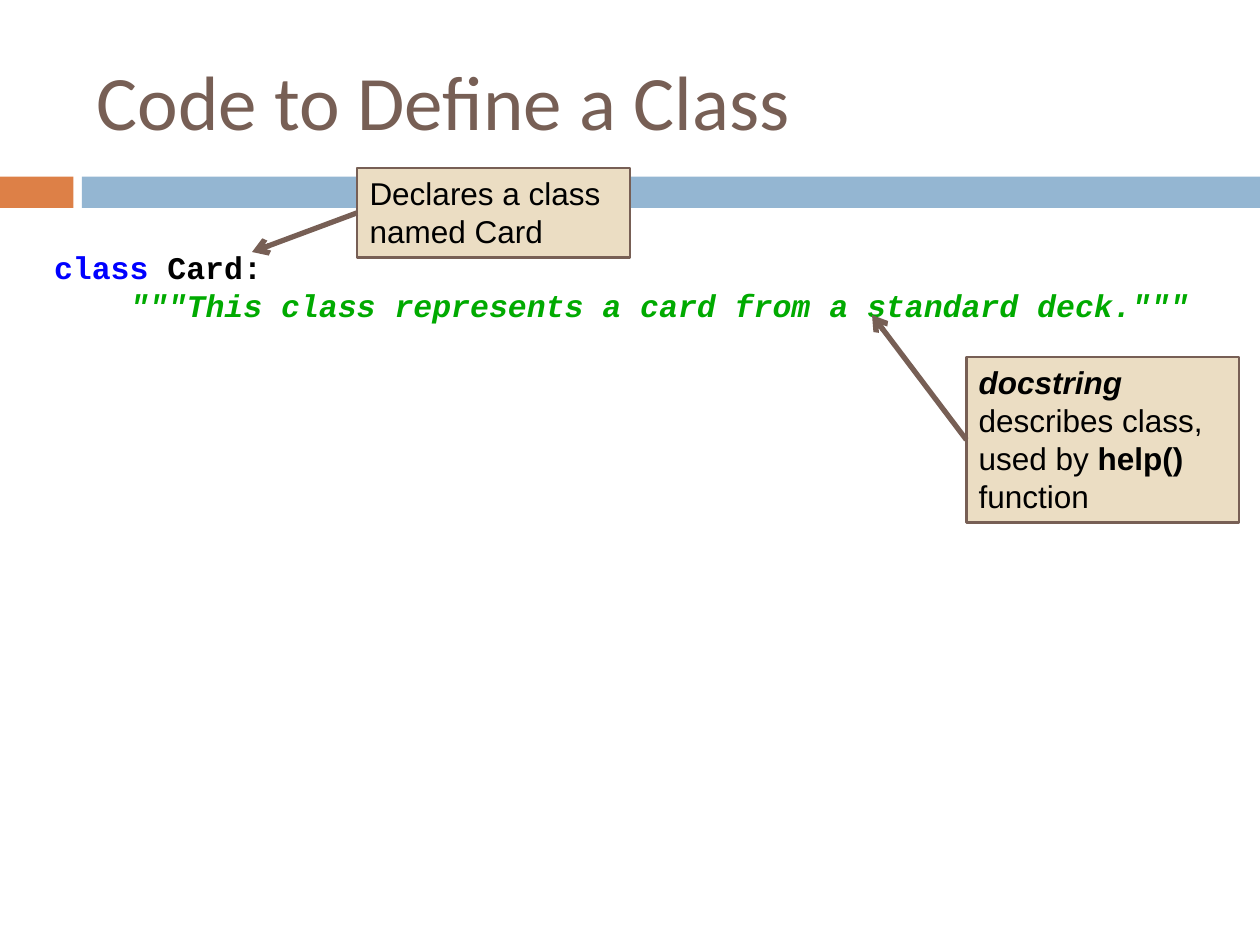
import pptx
import pptx.util
import pptx.dml.color
import pptx.enum.shapes
import pptx.enum.text
import lxml.etree

Cm, Pt = pptx.util.Cm, pptx.util.Pt
RGBColor = pptx.dml.color.RGBColor
RECT = pptx.enum.shapes.MSO_SHAPE.RECTANGLE
ANCHOR = pptx.enum.text.MSO_ANCHOR
LEFT = pptx.enum.text.PP_ALIGN.LEFT

ORANGE = RGBColor(0xDD, 0x80, 0x47)
BLUE = RGBColor(0x94, 0xB6, 0xD2)
BROWN = RGBColor(0x77, 0x5F, 0x55)
SAND = RGBColor(0xEB, 0xDD, 0xC3)
BLACK = RGBColor(0, 0, 0)
KEYWORD = RGBColor(0, 0, 0xFF)
STRING = RGBColor(0, 0xAA, 0)

prs = pptx.Presentation()
prs.slide_width, prs.slide_height = Cm(25.4), Cm(19.05)
s = prs.slides.add_slide(prs.slide_layouts[6])


def add_rect(box, fill):
    sp = s.shapes.add_shape(RECT, *[Cm(v) for v in box])
    sp.shadow.inherit = False
    sp.fill.solid()
    sp.fill.fore_color.rgb = fill
    sp.line.fill.background()
    return sp


def write(sp, paragraphs, base, anchor=ANCHOR.TOP):
    tf = sp.text_frame
    tf.word_wrap = True
    tf.vertical_anchor = anchor
    for i, runs in enumerate(paragraphs):
        p = tf.add_paragraph() if i else tf.paragraphs[0]
        p.alignment = LEFT
        for text, extra in runs:
            r = p.add_run()
            r.text = text
            for name, value in {**base, **extra}.items():
                if name == "color":
                    r.font.color.rgb = value
                else:
                    setattr(r.font, name, value)
    return tf


# Band under the title
add_rect((0, 3.56, 1.48, 0.63), ORANGE)
add_rect((1.65, 3.56, 23.75, 0.63), BLUE)

# Code
code = {"name": "Courier New", "size": Pt(18), "bold": True}
sp = s.shapes.add_textbox(Cm(0.84), Cm(4.88), Cm(23.5), Cm(1.8))
tf = write(sp, [
    [("class ", {"color": KEYWORD}), ("Card:", {"color": BLACK})],
    [('"""This class represents a card from a standard deck."""',
      {"color": STRING, "italic": True})],
], code)
tf.paragraphs[1]._p.get_or_add_pPr().set("marL", str(Cm(1.53)))

# Title
sp = s.shapes.add_textbox(Cm(1.7), Cm(0.64), Cm(22.66), Cm(2.74))
write(sp, [[("Code to Define a Class", {})]],
      {"name": "Calibri", "size": Pt(44), "color": BROWN}, ANCHOR.MIDDLE)

# Callouts: box, arrow tip, text
bold = {"bold": True}
callouts = [
    ((7.2, 3.39, 5.5, 1.8), (5.08, 5.08),
     [("Declares a class named Card", {})]),
    ((19.48, 7.2, 5.5, 3.33), (17.58, 6.35),
     [("docstring", {"bold": True, "italic": True}),
      (" describes class, used by ", {}), ("help() ", bold),
      ("function", {})]),
]
note = {"name": "Arial", "size": Pt(18), "color": BLACK}
for box, tip, runs in callouts:
    sp = add_rect(box, SAND)
    sp.line.color.rgb = BROWN
    sp.line.width = Pt(1.5)
    write(sp, [runs], note)

    left, top, width, height = box
    arrow = s.shapes.add_connector(
        pptx.enum.shapes.MSO_CONNECTOR.STRAIGHT,
        Cm(left), Cm(top + height / 2), Cm(tip[0]), Cm(tip[1]))
    arrow.line.color.rgb = BROWN
    arrow.line.width = Pt(3)
    qn = pptx.oxml.ns.qn
    lxml.etree.SubElement(arrow.line._get_or_add_ln(), qn("a:tailEnd"), type="arrow")
    lxml.etree.SubElement(arrow._element.spPr, qn("a:effectLst"))

prs.save("out.pptx")
